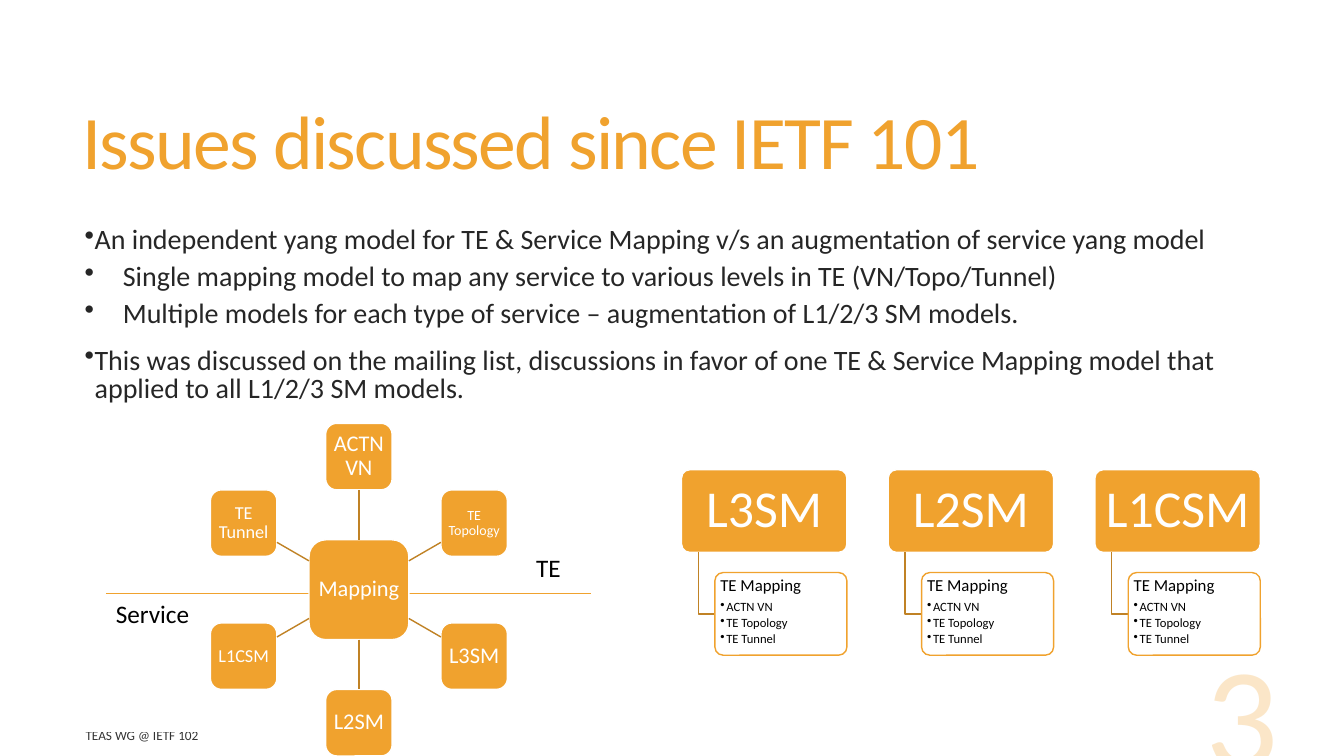
import math
import pptx
import pptx.util
import pptx.dml.color
import pptx.enum.shapes
import pptx.enum.text
import pptx.oxml
import pptx.oxml.ns

Inches = pptx.util.Inches
Pt = pptx.util.Pt
RGBColor = pptx.dml.color.RGBColor
SHAPE = pptx.enum.shapes.MSO_SHAPE
STRAIGHT = pptx.enum.shapes.MSO_CONNECTOR.STRAIGHT
ALIGN = pptx.enum.text.PP_ALIGN
ANCHOR = pptx.enum.text.MSO_ANCHOR

ORANGE = RGBColor(0xF0, 0xA2, 0x2E)
BROWN = RGBColor(0xC0, 0x82, 0x25)
WHITE = RGBColor(0xFF, 0xFF, 0xFF)
BLACK = RGBColor(0, 0, 0)
CHARCOAL = RGBColor(0x26, 0x26, 0x26)

TITLE = "Issues discussed since IETF 101"
POINTS = [
    (0, "An independent yang model for TE & Service Mapping v/s an augmentation of service yang model"),
    (1, "Single mapping model to map any service to various levels in TE (VN/Topo/Tunnel)"),
    (1, "Multiple models for each type of service – augmentation of L1/2/3 SM models."),
    (0, "This was discussed on the mailing list, discussions in favor of one TE & Service Mapping model "
        "that applied to all L1/2/3 SM models."),
]
POINT_FORMATS = {0: dict(indent=0.1, before=13), 1: dict(indent=0.38, before=6, level=1)}
FOOTER = "TEAS WG @ IETF 102"
PAGE_NUMBER = "3"
HUB = "Mapping"
SPOKES = [("ACTN VN", 16), ("TE Topology", 10), ("L3SM", 16),
          ("L2SM", 16), ("L1CSM", 13), ("TE Tunnel", 13)]
SIDES = [("TE", 5.22, 5.43, 0.57), ("Service", 1.05, 5.89, 1.15)]
SERVICES = ["L3SM", "L2SM", "L1CSM"]
CARD_HEADING = "TE Mapping"
CARD_ITEMS = ["ACTN VN", "TE Topology", "TE Tunnel"]

HUB_X, HUB_Y, HUB_SIZE = 3.56, 5.85, 0.99
NODE_SIZE, RADIUS = 0.66, 1.32
TREE_LEFT, TREE_TOP, TREE_STEP = 6.76, 4.66, 2.05
BOX_WIDTH, CARD_WIDTH, BOX_HEIGHT = 1.64, 1.31, 0.82
CARD_TOP = 5.68

presentation = pptx.Presentation()
presentation.slide_width = Inches(13.33)
presentation.slide_height = Inches(7.5)
slide = presentation.slides.add_slide(presentation.slide_layouts[6])


def set_alpha(element, percent):
    color = element.find(".//" + pptx.oxml.ns.qn("a:srgbClr"))
    color.append(pptx.oxml.parse_xml(
        f'<a:alpha {pptx.oxml.ns.nsdecls("a")} val="{percent * 1000}"/>'))


def write(frame, text, size=16, color=WHITE, align=ALIGN.LEFT, line=None, before=0, after=0,
          indent=None, level=0, alpha=None, tracking=None):
    paragraph = frame.paragraphs[0]
    if paragraph.runs:
        paragraph = frame.add_paragraph()
    paragraph.alignment = align
    paragraph.level = level
    paragraph.space_before = Pt(before)
    paragraph.space_after = Pt(after)
    if line:
        paragraph.line_spacing = line
    if indent:
        properties = paragraph._p.get_or_add_pPr()
        properties.set("marL", str(Inches(indent)))
        properties.set("indent", str(-Inches(indent)))
        properties.append(pptx.oxml.parse_xml(
            f'<a:buChar {pptx.oxml.ns.nsdecls("a")} char="•"/>'))
    run = paragraph.add_run()
    run.text = text
    run.font.name = "Calibri"
    run.font.size = Pt(size)
    run.font.color.rgb = color
    if alpha:
        set_alpha(run._r, alpha)
    if tracking:
        run._r.get_or_add_rPr().set("spc", str(round(tracking * 100)))


def add_text_box(left, top, width, height, anchor=ANCHOR.TOP, wrap=True):
    box = slide.shapes.add_textbox(Inches(left), Inches(top), Inches(width), Inches(height))
    box.text_frame.word_wrap = wrap
    box.text_frame.vertical_anchor = anchor
    return box.text_frame


def add_box(left, top, width, height, fill=ORANGE, line=WHITE, corner=0.1667,
            inset=(0.04, 0.04), anchor=ANCHOR.MIDDLE):
    shape = slide.shapes.add_shape(SHAPE.ROUNDED_RECTANGLE, Inches(left), Inches(top),
                                   Inches(width), Inches(height))
    shape.shadow.inherit = False
    shape.adjustments[0] = corner
    shape.fill.solid()
    shape.fill.fore_color.rgb = fill
    shape.line.color.rgb = line
    shape.line.width = Pt(1)
    frame = shape.text_frame
    frame.word_wrap = True
    frame.vertical_anchor = anchor
    frame.margin_left = frame.margin_right = Inches(inset[0])
    frame.margin_top = frame.margin_bottom = Inches(inset[1])
    return shape


def add_line(x1, y1, x2, y2, color=BROWN, width=1):
    line = slide.shapes.add_connector(STRAIGHT, Inches(x1), Inches(y1), Inches(x2), Inches(y2))
    line.line.color.rgb = color
    line.line.width = Pt(width)
    line._element.spPr.append(pptx.oxml.parse_xml(
        f'<a:effectLst {pptx.oxml.ns.nsdecls("a")}/>'))
    return line


def add_square(center_x, center_y, side_length, text, inset=0.04, **text_format):
    shape = add_box(center_x - side_length / 2, center_y - side_length / 2,
                    side_length, side_length, inset=(inset, inset))
    write(shape.text_frame, text, align=ALIGN.CENTER, line=0.9, **text_format)
    return shape


def add_mapping_wheel():
    hub = add_square(HUB_X, HUB_Y, HUB_SIZE, HUB)
    for index, (label, label_size) in enumerate(SPOKES):
        angle = math.radians(index * 360 / len(SPOKES) - 90)
        cosine, sine = math.cos(angle), math.sin(angle)
        reach = max(abs(cosine), abs(sine))
        start = HUB_SIZE / 2 / reach
        end = RADIUS - NODE_SIZE / 2 / reach
        node = add_square(HUB_X + RADIUS * cosine, HUB_Y + RADIUS * sine, NODE_SIZE, label,
                          inset=0.03, size=label_size)
        spoke = add_line(HUB_X + start * cosine, HUB_Y + start * sine,
                         HUB_X + end * cosine, HUB_Y + end * sine)
        if abs(cosine) < 0.01:
            hub_side, node_side = (0, 2) if sine < 0 else (2, 0)
            spoke.begin_connect(hub, hub_side)
            spoke.end_connect(node, node_side)


def add_service_tree(left, service):
    box = add_box(left, TREE_TOP, BOX_WIDTH, BOX_HEIGHT, corner=0.1, inset=(0.08, 0.05))
    write(box.text_frame, service, size=37, align=ALIGN.CENTER, line=0.9)

    card_left = left + BOX_WIDTH - CARD_WIDTH
    stem_x = (left + card_left) / 2
    card_middle = CARD_TOP + BOX_HEIGHT / 2
    builder = slide.shapes.build_freeform(Inches(stem_x), Inches(TREE_TOP + BOX_HEIGHT))
    builder.add_line_segments([(Inches(stem_x), Inches(card_middle)),
                               (Inches(card_left), Inches(card_middle))], close=False)
    elbow = builder.convert_to_shape()
    elbow.shadow.inherit = False
    elbow.fill.background()
    elbow.line.color.rgb = BROWN
    elbow.line.width = Pt(1)

    card = add_box(card_left, CARD_TOP, CARD_WIDTH, BOX_HEIGHT, fill=WHITE, line=ORANGE,
                   corner=0.1, inset=(0.03, 0.02), anchor=ANCHOR.TOP)
    set_alpha(card._element.spPr, 90)
    write(card.text_frame, CARD_HEADING, size=12, color=BLACK, line=0.9, after=4.2)
    for item in CARD_ITEMS:
        write(card.text_frame, item, size=9, color=BLACK, line=0.9, after=1.35,
              indent=0.06, level=1)


add_line(1.05, 5.89, 5.86, 5.89, color=ORANGE, width=0.75)
write(add_text_box(0.72, 0.55, 11.78, 1.81, anchor=ANCHOR.MIDDLE), TITLE,
      size=54, color=ORANGE, line=0.85, tracking=-1.2)
body = add_text_box(0.74, 2.2, 11.76, 4.12)
for point_level, point in POINTS:
    write(body, point, size=20, color=CHARCOAL, line=0.85, **POINT_FORMATS[point_level])
write(add_text_box(0.75, 7.17, 5.5, 0.25, anchor=ANCHOR.MIDDLE, wrap=False), FOOTER,
      size=9.5, color=BLACK, alpha=80)
write(add_text_box(9.58, 6.43, 3.2, 1.53, anchor=ANCHOR.BOTTOM), PAGE_NUMBER,
      size=103, color=ORANGE, align=ALIGN.RIGHT, alpha=25)
add_mapping_wheel()
for side, side_left, side_top, side_width in SIDES:
    write(add_text_box(side_left, side_top, side_width, 0.4), side, size=18, color=BLACK)
for position, name in enumerate(SERVICES):
    add_service_tree(TREE_LEFT + position * TREE_STEP, name)

presentation.save("out.pptx")
